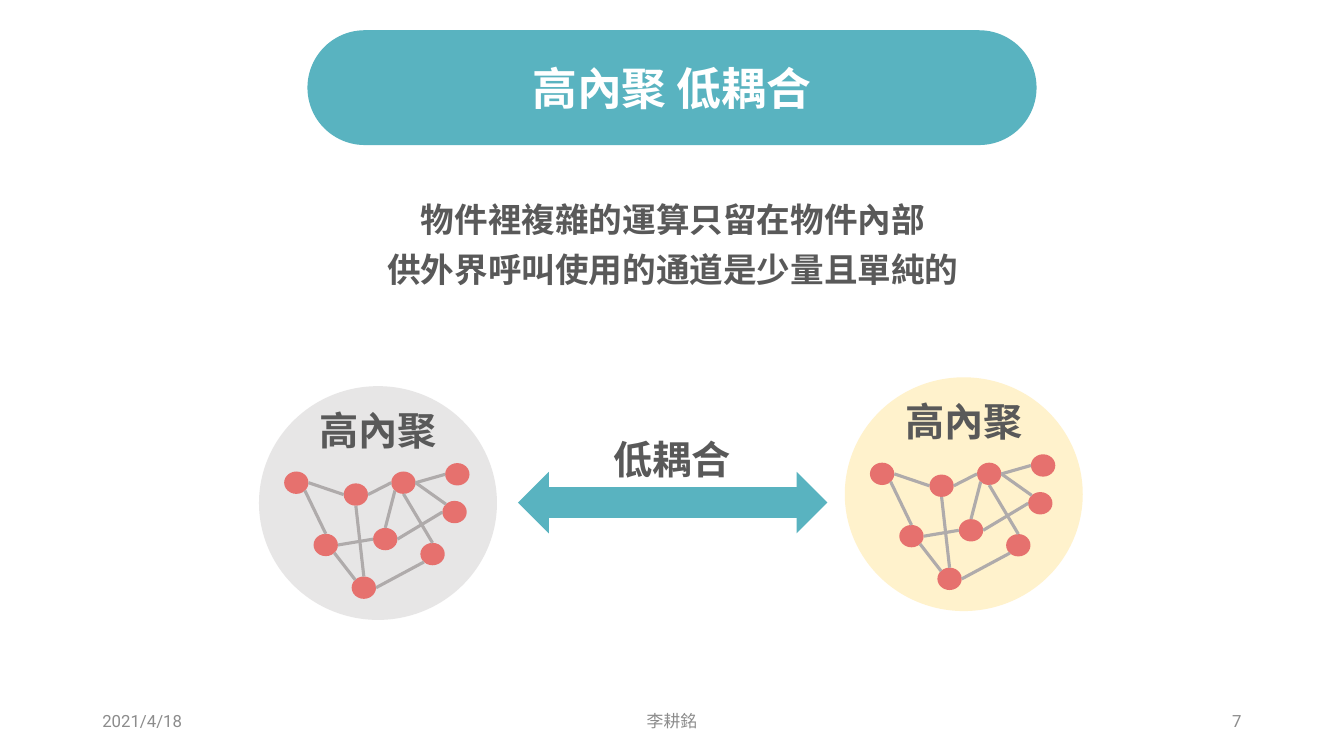
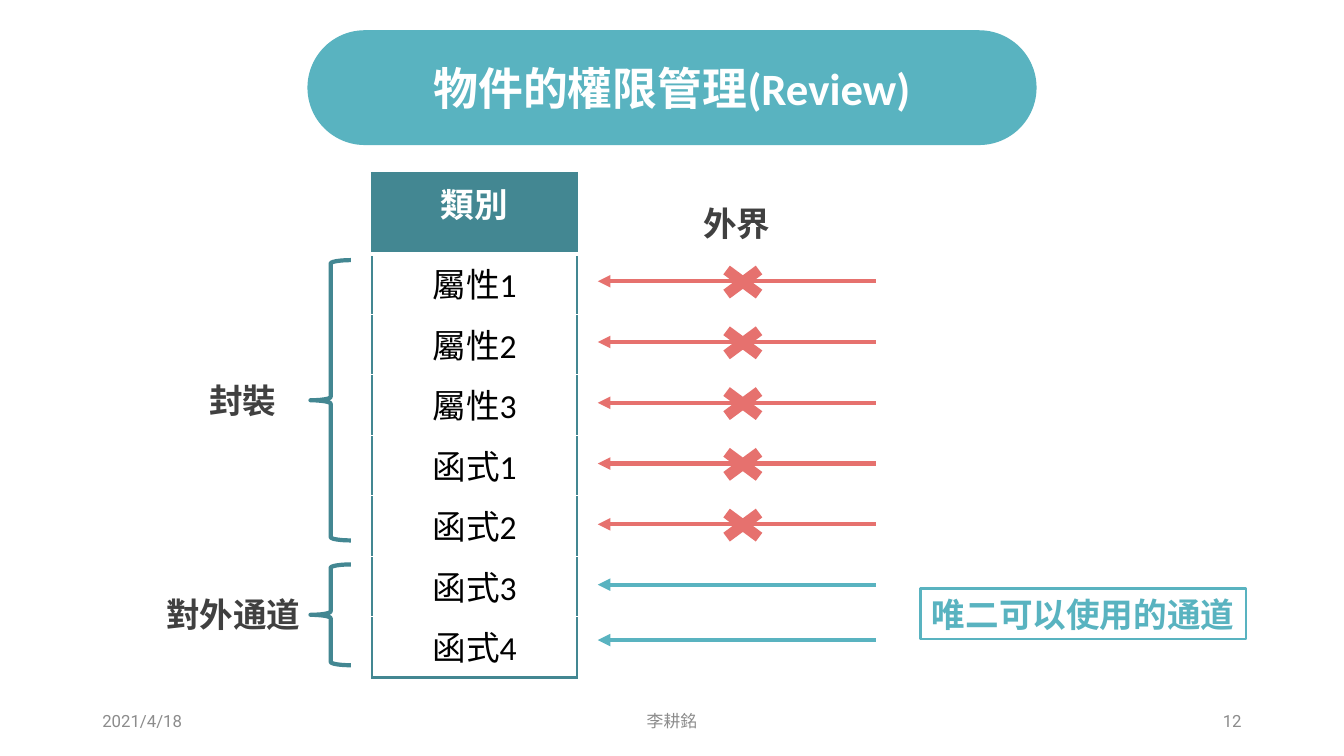
from lxml.etree import SubElement
from pptx import Presentation
from pptx.dml.color import RGBColor
from pptx.enum.shapes import MSO_CONNECTOR, MSO_SHAPE
from pptx.enum.text import MSO_ANCHOR, PP_ALIGN
from pptx.oxml import parse_xml
from pptx.oxml.ns import nsdecls, qn
from pptx.util import Pt

TEAL, DARK_TEAL, CORAL = "59B3C0", "438792", "E6716E"
WHITE, BLACK, GRAY, LABEL, FOOTER, EDGE = "FFFFFF", "000000", "595959", "404040", "8C8C8C", "AFABAB"
CJK, TITLE_CJK = "Noto Sans CJK TC", "Noto Sans CJK SC"

PILL = (219.6, 21.6, 520.8, 82)
AUTHOR_FOOTERS = [
    ("2021/4/18", (66, 500.4, 216, 28.8), PP_ALIGN.LEFT),
    ("李耕銘", (318, 500.4, 324, 28.8), PP_ALIGN.CENTER),
]
NUMBER_AT = (678, 500.4, 216, 28.8)

# Cohesion slide
COHESION_TEXT = ["物件裡複雜的運算只留在物件內部", "供外界呼叫使用的通道是少量且單純的"]
OBJECTS = [(185, 275.8, "E7E6E6"), (603.4, 269.5, "FFF2CC")]
OBJECT_SIZE = (170, 167)
NODE_SIZE = (17.4, 16)
NODES = [(18, 61), (60.5, 69.5), (94.5, 61), (133, 55), (131, 82),
         (39, 105.5), (81.5, 101.3), (115.3, 112), (66.2, 136)]
SITES = {
    "left": (0, 0.5), "right": (1, 0.5), "top": (0.5, 0), "bottom": (0.5, 1),
    "top left": (0.15, 0.15), "bottom left": (0.15, 0.85), "bottom right": (0.85, 0.85),
}
EDGES = [
    (0, "right", 1, "left"), (0, "bottom right", 5, "top"), (1, "bottom", 8, "top"),
    (1, "right", 2, "left"), (5, "right", 6, "left"), (2, "right", 4, "top left"),
    (2, "right", 3, "left"), (2, "bottom", 7, "top"), (6, "right", 4, "left"),
    (6, "top", 2, "bottom left"), (8, "right", 7, "bottom left"),
    (5, "bottom right", 8, "top left"),
]

# Access slide
CLASS_ROWS = ["類別", "屬性1", "屬性2", "屬性3", "函式1", "函式2", "函式3", "函式4"]
TABLE_LEFT, TABLE_TOP, TABLE_WIDTH = 265.8, 123.7, 146.3
HEADER_HEIGHT, ROW_HEIGHT = 57.6, 43.2
BRACES = [(221.8, 185.8, 28.8, 200.2), (221.8, 403.2, 28.8, 72)]
SIDE_LABELS = [
    ("封裝", (141.8, 267.8, 63.4, 36)),
    ("對外通道", (110.9, 420.5, 111.6, 36)),
    ("外界", (494.6, 141.1, 63.4, 36)),
]
ARROW_START, ARROW_END = 625.7, 427
BLOCKED_TOP, BLOCKED_STEP, BLOCKED_COUNT = 200.9, 43.4, 5
OPEN_CHANNELS = [417.6, 457.2]
CROSS_SIZE = (44.6, 33.1)
CROSS_CENTER = 530.6


def color(value):
    return RGBColor.from_string(value)


def points(values):
    return [Pt(value) for value in values]


def write(box, lines, align=PP_ALIGN.CENTER, anchor=MSO_ANCHOR.MIDDLE, wrap=True,
          latin=CJK, asian=CJK, ink=LABEL, spacing=None, **font):
    """Fill a text frame with one paragraph for each line; spacing sets paragraph attributes."""
    frame = box.text_frame
    frame.word_wrap, frame.vertical_anchor = wrap, anchor
    for index, line in enumerate(lines):
        para = frame.add_paragraph() if index else frame.paragraphs[0]
        para.alignment = align
        for name, value in (spacing or {}).items():
            setattr(para, name, value)
        span = para.add_run()
        span.text = line
        span.font.color.rgb = color(ink)
        for name, value in {"name": latin, **font}.items():
            setattr(span.font, name, value)
        SubElement(span.font._element, qn("a:ea")).set("typeface", asian)


def add_text(page, at, lines, **style):
    box = page.shapes.add_textbox(*points(at))
    write(box, lines, **style)
    return box


def add_label(page, at, text, size, ink):
    return add_text(page, at, [text], size=Pt(size), bold=True, ink=ink,
                    wrap=False, anchor=MSO_ANCHOR.TOP)


def add_shape(page, kind, at, fill=None, line=None, width=1):
    shape = page.shapes.add_shape(kind, *points(at))
    shape.shadow.inherit = False
    if fill:
        shape.fill.solid()
        shape.fill.fore_color.rgb = color(fill)
    else:
        shape.fill.background()
    if line:
        shape.line.color.rgb = color(line)
        shape.line.width = Pt(width)
    else:
        shape.line.fill.background()
    return shape


def add_line(page, start, end, ink, width, arrow=False):
    line = page.shapes.add_connector(MSO_CONNECTOR.STRAIGHT, *points(start + end))
    line.line.color.rgb = color(ink)
    line.line.width = Pt(width)
    if arrow:
        SubElement(line.line._get_or_add_ln(), qn("a:tailEnd")).set("type", "triangle")
    SubElement(line._element.spPr, qn("a:effectLst"))


def add_page(deck, title, number, latin):
    """Add a slide with the title pill and the footers."""
    page = deck.slides.add_slide(deck.slide_layouts[6])
    pill = add_shape(page, MSO_SHAPE.ROUNDED_RECTANGLE, PILL, TEAL)
    pill.adjustments[0] = 0.5
    write(pill, [title], latin=latin, asian=TITLE_CJK, size=Pt(32), bold=True, ink=WHITE)
    for text, at, align in AUTHOR_FOOTERS + [(number, NUMBER_AT, PP_ALIGN.RIGHT)]:
        add_text(page, at, [text], align=align, latin="Roboto", size=Pt(12), ink=FOOTER)
    return page


def add_object(page, left, top, fill):
    """Draw a circle that holds a network of linked nodes."""
    add_shape(page, MSO_SHAPE.OVAL, (left, top) + OBJECT_SIZE, fill)
    add_label(page, (left + 35.3, top + 11, 99.4, 41), "高內聚", 28, GRAY)
    for x, y in NODES:
        add_shape(page, MSO_SHAPE.OVAL, (left + x, top + y) + NODE_SIZE, CORAL)

    def site(node, side):
        (x, y), (across, down) = NODES[node], SITES[side]
        return left + x + across * NODE_SIZE[0], top + y + down * NODE_SIZE[1]

    for first, first_side, second, second_side in EDGES:
        add_line(page, site(first, first_side), site(second, second_side), EDGE, 2.25)


def set_borders(cell, borders):
    """Draw cell borders given as (side, colour, width), in the order L, R, T, B."""
    properties = cell._tc.get_or_add_tcPr()
    for index, (side, ink, width) in enumerate(borders):
        properties.insert(index, parse_xml(
            f'<a:ln{side} {nsdecls("a")} w="{Pt(width)}"><a:solidFill>'
            f'<a:srgbClr val="{ink}"/></a:solidFill></a:ln{side}>'))


def add_class_table(page):
    last = len(CLASS_ROWS) - 1
    height = HEADER_HEIGHT + last * ROW_HEIGHT
    table = page.shapes.add_table(
        len(CLASS_ROWS), 1, *points((TABLE_LEFT, TABLE_TOP, TABLE_WIDTH, height))).table
    for index, text in enumerate(CLASS_ROWS):
        header = index == 0
        table.rows[index].height = Pt(HEADER_HEIGHT if header else ROW_HEIGHT)
        cell = table.cell(index, 0)
        cell.fill.solid()
        cell.fill.fore_color.rgb = color(DARK_TEAL if header else WHITE)
        write(cell, [text], latin=CJK if header else "Calibri", size=Pt(24),
              bold=header, ink=WHITE if header else BLACK)
        top = (DARK_TEAL, 2.25) if header else (WHITE, 3 if index == 1 else 1)
        bottom = (DARK_TEAL, 2.25) if index == last else (WHITE, 3 if header else 1)
        set_borders(cell, [("L", DARK_TEAL, 2.25), ("R", DARK_TEAL, 2.25),
                           ("T", *top), ("B", *bottom)])


def build_cohesion(deck):
    page = add_page(deck, "高內聚 低耦合", "7", TITLE_CJK)
    add_text(page, (252.7, 141.8, 455.8, 82), COHESION_TEXT, anchor=MSO_ANCHOR.TOP,
             size=Pt(24), bold=True, ink=GRAY,
             spacing={"line_spacing": 0.9, "space_before": Pt(10)})
    for left, top, fill in OBJECTS:
        add_object(page, left, top, fill)
    add_shape(page, MSO_SHAPE.LEFT_RIGHT_ARROW, (370, 337, 221, 44), TEAL)
    add_label(page, (430.6, 307.4, 99.4, 41), "低耦合", 28, GRAY)


def build_access(deck):
    page = add_page(deck, "物件的權限管理(Review)", "12", "Calibri")
    add_class_table(page)
    for at in BRACES:
        add_shape(page, MSO_SHAPE.LEFT_BRACE, at, line=DARK_TEAL, width=3)
    for text, at in SIDE_LABELS:
        add_label(page, at, text, 24, LABEL)
    blocked = [BLOCKED_TOP + BLOCKED_STEP * index for index in range(BLOCKED_COUNT)]
    for ink, heights in ((CORAL, blocked), (TEAL, OPEN_CHANNELS)):
        for y in heights:
            add_line(page, (ARROW_START, y), (ARROW_END, y), ink, 3, arrow=True)
    width, height = CROSS_SIZE
    for y in blocked:
        add_shape(page, MSO_SHAPE.MATH_MULTIPLY,
                  (CROSS_CENTER - width / 2, y + 0.6 - height / 2, width, height), CORAL)
    note = add_label(page, (657.4, 420.5, 232.6, 36), "唯二可以使用的通道", 24, TEAL)
    note.line.color.rgb = color(TEAL)
    note.line.width = Pt(2)


def main():
    deck = Presentation()
    deck.slide_width, deck.slide_height = Pt(960), Pt(540)
    build_cohesion(deck)
    build_access(deck)
    deck.save("out.pptx")


if __name__ == "__main__":
    main()
